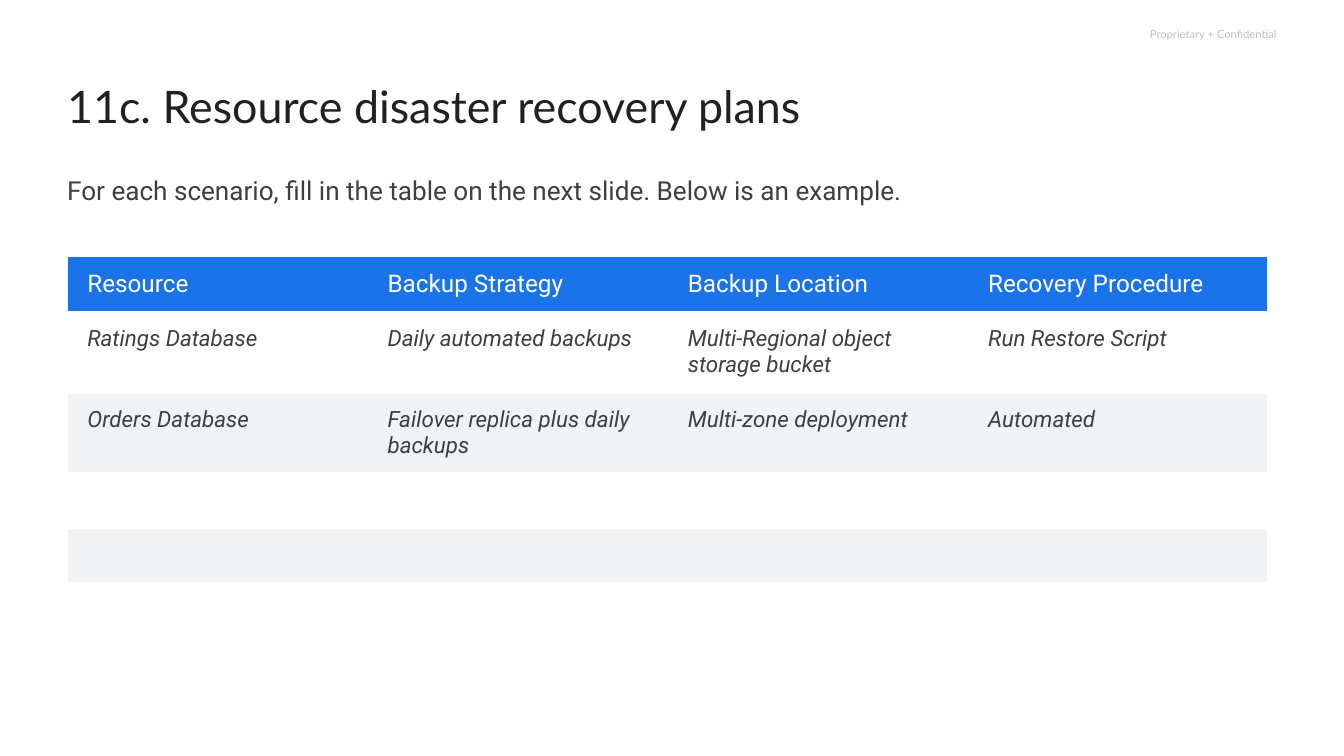
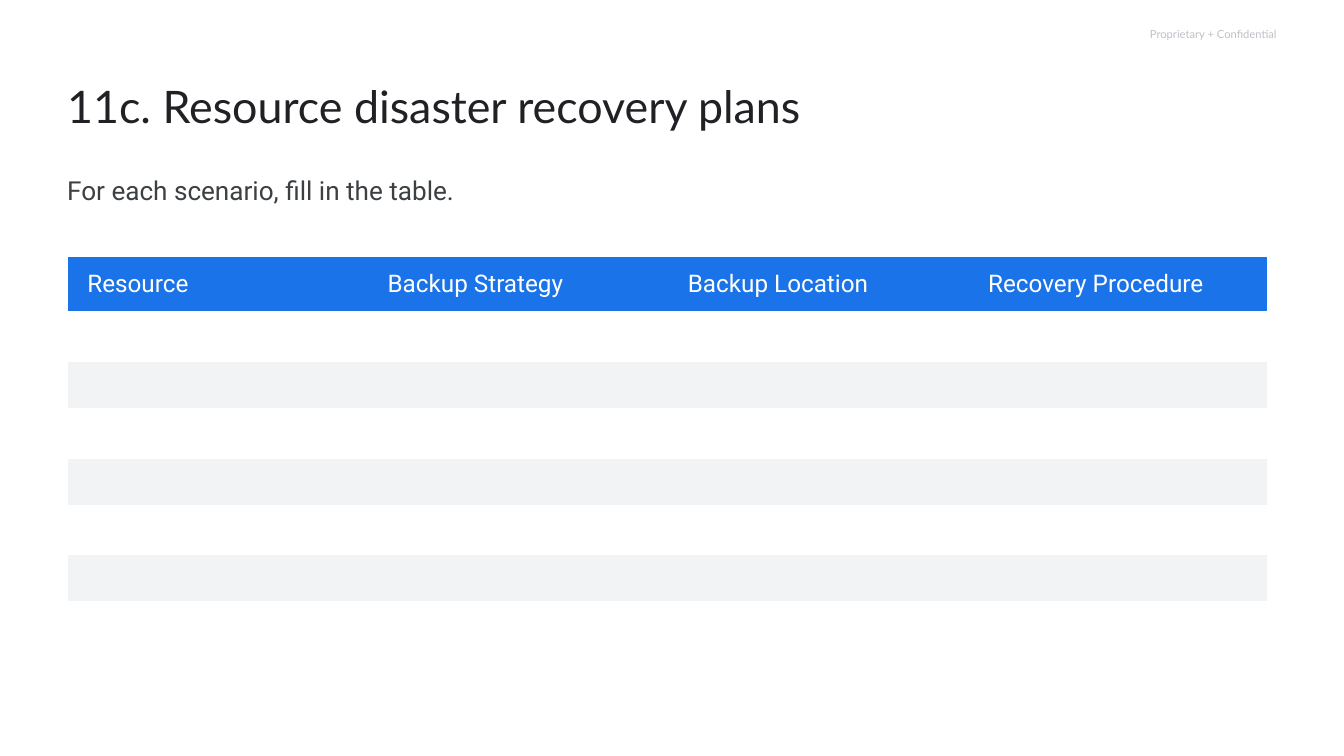
from lxml import etree
from pptx import Presentation
from pptx.dml.color import RGBColor
from pptx.enum.text import MSO_ANCHOR, PP_ALIGN
from pptx.oxml.ns import qn
from pptx.util import Cm, Pt

LEFT, RIGHT = PP_ALIGN.LEFT, PP_ALIGN.RIGHT
TOP, MIDDLE = MSO_ANCHOR.TOP, MSO_ANCHOR.MIDDLE
WHITE, BLUE, BAND = "FFFFFF", "1A73E8", "F1F3F4"
INK, BODY, MUTED = "202124", "3C4043", "BDC1C6"
PLAIN_TABLE = "{2D5ABB26-0587-4C30-8999-92F81FD0307C}"

MARGIN = 2.54
COLUMN_WIDTH = 11.35
HEADER_HEIGHT = 2.08
HEADINGS = ["Resource", "Backup Strategy", "Backup Location", "Recovery Procedure"]
EMPTY_ROW = [""] * len(HEADINGS)

PAGES = [
    ("For each scenario, fill in the table on the next slide. Below is an example.",
     [(3, ["Ratings Database", "Daily automated backups",
           "Multi-Regional object storage bucket", "Run Restore Script"]),
      (3.02, ["Orders Database", "Failover replica plus daily backups",
              "Multi-zone deployment", "Automated"]),
      (2.03, EMPTY_ROW), (2.11, EMPTY_ROW), (2.11, EMPTY_ROW)]),
    ("For each scenario, fill in the table.", [(1.83, EMPTY_ROW)] * 6),
]


def write(frame, text, font, size, color, italic=None, align=LEFT):
    frame.text = text
    frame.word_wrap = True
    paragraph = frame.paragraphs[0]
    paragraph.alignment = align
    for span in paragraph.runs:
        span.font.name = font
        span.font.size = Pt(size)
        span.font.italic = italic
        span.font.color.rgb = RGBColor.from_string(color)
    return paragraph


def add_text(page, place, text, font, size, color, align=LEFT, anchor=TOP):
    box = page.shapes.add_textbox(*[Cm(length) for length in place])
    frame = box.text_frame
    frame.margin_left = frame.margin_right = 0
    frame.margin_top = frame.margin_bottom = 0
    frame.vertical_anchor = anchor
    return write(frame, text, font, size, color, align=align)


deck = Presentation()
deck.slide_width = Cm(50.8)
deck.slide_height = Cm(28.58)

for instruction, body_rows in PAGES:
    page = deck.slides.add_slide(deck.slide_layouts[6])
    add_text(page, (37.57, 0, 10.69, 2.57), "Proprietary + Confidential",
             "Lato", 12, MUTED, RIGHT, MIDDLE)
    title = add_text(page, (MARGIN, 2.57, 43.69, 5.56),
                     "11c. Resource disaster recovery plans", "Lato", 48, INK)
    title.line_spacing = 1.2

    rows = [(HEADER_HEIGHT, HEADINGS)] + body_rows
    table = page.shapes.add_table(
        len(rows), len(HEADINGS), Cm(MARGIN), Cm(9.68),
        Cm(COLUMN_WIDTH * len(HEADINGS)), Cm(sum(height for height, _ in rows))).table
    table.horz_banding = False
    table._tbl.tblPr.find(qn("a:tableStyleId")).text = PLAIN_TABLE
    for column in table.columns:
        column.width = Cm(COLUMN_WIDTH)

    for row_index, (height, texts) in enumerate(rows):
        table.rows[row_index].height = Cm(height)
        for column_index, text in enumerate(texts):
            cell = table.cell(row_index, column_index)
            if text:
                cell.margin_left = Cm(0.76)
                cell.margin_right = cell.margin_top = cell.margin_bottom = Cm(0.51)
                if row_index == 0:
                    write(cell.text_frame, text, "Roboto", 26, WHITE)
                else:
                    write(cell.text_frame, text, "Roboto", 24, BODY, italic=True)
            if row_index % 2 and row_index:
                cell.fill.background()
            else:
                cell.fill.solid()
                cell.fill.fore_color.rgb = RGBColor.from_string(BAND if row_index else BLUE)

            sides = ["lnT", "lnB"]
            if column_index == len(HEADINGS) - 1:
                sides.insert(0, "lnR")
            if column_index == 0:
                sides.insert(0, "lnL")
            properties = cell._tc.get_or_add_tcPr()
            for position, side in enumerate(sides):
                line = etree.Element(qn("a:" + side), w=str(Pt(3)))
                fill = etree.SubElement(line, qn("a:solidFill"))
                etree.SubElement(fill, qn("a:srgbClr"), val=WHITE)
                properties.insert(position, line)

    paragraph = add_text(page, (MARGIN, 6.43, 45.72, 1.19), instruction, "Roboto", 28, BODY)
    paragraph.line_spacing = 1.15
    paragraph.space_after = Pt(16)

deck.save("out.pptx")
